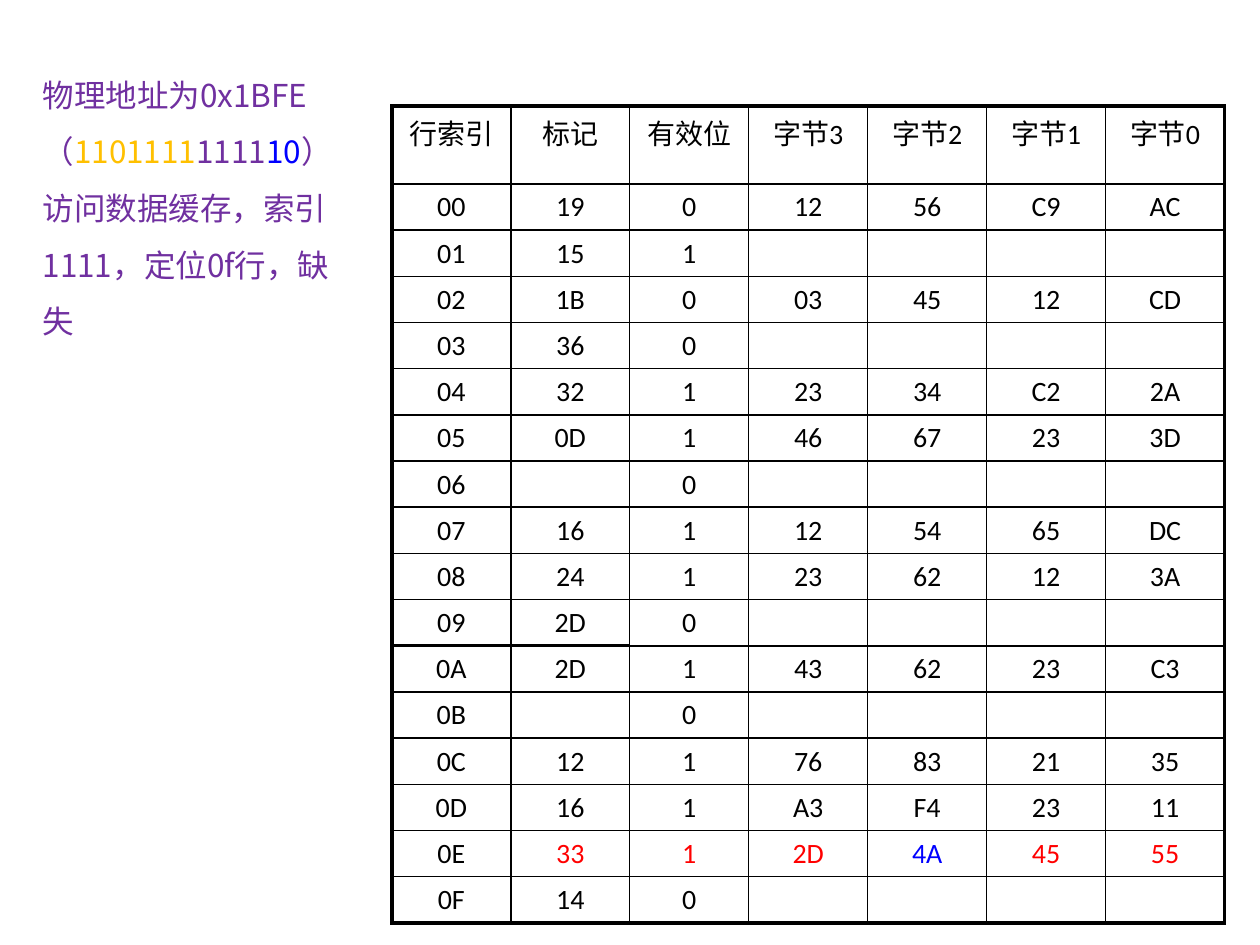
from lxml import etree
from pptx import Presentation
from pptx import util as u
from pptx.dml.color import RGBColor
from pptx.enum import text
from pptx.oxml import ns

BLACK, WHITE, RED, BLUE = "000000", "FFFFFF", "FF0000", "0000FF"
PURPLE, GOLD = "7030A0", "FFC000"
CJK = "Noto Sans CJK SC"

HEAD = ["行索引", "标记", "有效位", "字节3", "字节2", "字节1", "字节0"]
# tag, valid bit, bytes 3 to 0
LINES = [
    "19 0 12 56 C9 AC", "15 1", "1B 0 03 45 12 CD", "36 0",
    "32 1 23 34 C2 2A", "0D 1 46 67 23 3D", "- 0", "16 1 12 54 65 DC",
    "24 1 23 62 12 3A", "2D 0", "2D 1 43 62 23 C3", "- 0",
    "12 1 76 83 21 35", "16 1 A3 F4 23 11", "33 1 2D 4A 45 55", "14 0",
]
HIT = 15  # table row of line 0E
NOTE = [
    [("物理地址为0x1BFE（", PURPLE), ("1101111", GOLD), ("1111", PURPLE),
     ("10", BLUE), ("）", PURPLE)],
    [("访问数据缓存，索引1111，定位0f行，缺失", PURPLE)],
]


def rgb(code):
    return RGBColor.from_string(code)


def sub(node, tag, **attrs):
    return etree.SubElement(node, ns.qn(tag), attrs)


def put(item, **form):
    for name, value in form.items():
        setattr(item, name, value)


class Deck:
    def __init__(self):
        self.prs = Presentation()
        put(self.prs, slide_width=u.Inches(10), slide_height=u.Inches(7.5))
        self.slide = self.prs.slides.add_slide(self.prs.slide_layouts[6])

    def run(self, para, words, size, font, color):
        run = para.add_run()
        run.text = words
        put(run.font, size=u.Pt(size), name=font)
        run.font.color.rgb = rgb(color)
        sub(run.font._element, "a:ea", typeface=CJK)

    def note(self, box, paras):
        frame = self.slide.shapes.add_textbox(*map(u.Inches, box)).text_frame
        put(frame, word_wrap=True, auto_size=text.MSO_AUTO_SIZE.SHAPE_TO_FIT_TEXT)
        for i, parts in enumerate(paras):
            para = frame.add_paragraph() if i else frame.paragraphs[0]
            para.line_spacing = 1.5
            for words, color in parts:
                self.run(para, words, 18, CJK, color)

    def edge(self, cell, side, width):
        line = sub(cell._tc.get_or_add_tcPr(), "a:ln" + side, w=str(u.Pt(width)))
        sub(sub(line, "a:solidFill"), "a:srgbClr", val=BLACK)

    def cell(self, cell, words, color, thick):
        """Fill one cell; thick names the sides with a heavy border."""
        put(cell, margin_bottom=u.Inches(0.04))
        for side in "LRTB":
            self.edge(cell, side, 2.25 if side in thick else 1)
        cell.fill.solid()
        cell.fill.fore_color.rgb = rgb(WHITE)
        para = cell.text_frame.paragraphs[0]
        para.alignment = text.PP_ALIGN.CENTER
        gap = sub(para._p.get_or_add_pPr(), "a:spcBef")
        sub(gap, "a:spcPct", val="20000")
        if words:
            self.run(para, words, 16, "Calibri", color)
        else:
            sub(para._p, "a:endParaRPr", sz="1600")

    def table(self, box, rows, top, shade, heavy):
        """Draw rows under a header of height top; shade and heavy style a cell."""
        count, wide = len(rows), len(rows[0])
        frame = self.slide.shapes.add_table(count, wide, *map(u.Inches, box))
        table = frame.table
        put(table, first_row=False, horz_banding=False)
        for col in table.columns:
            col.width = u.Inches(box[2] / wide)
        for r, row in enumerate(rows):
            high = (box[3] - top) / (count - 1) if r else top
            table.rows[r].height = u.Inches(high)
            for c, words in enumerate(row):
                self.cell(table.cell(r, c), words, shade(r, c), heavy(r, c))


def shade(r, c):
    if r != HIT or c == 0:
        return BLACK
    return BLUE if c == 4 else RED


def heavy(r, c):
    """Outer frame, plus a short rule between lines 09 and 0A."""
    tests = {
        "L": c == 0,
        "R": c == len(HEAD) - 1,
        "T": r == 0 or (r == 11 and c < 2),
        "B": r == len(LINES) or (r == 10 and c < 2),
    }
    return [side for side, on in tests.items() if on]


def main():
    rows = [HEAD]
    for i, line in enumerate(LINES):
        row = [f"{i:02X}"] + [v.strip("-") for v in line.split()]
        rows.append(row + [""] * (len(HEAD) - len(row)))
    deck = Deck()
    deck.note((0.24, 0.4, 2.64, 2.32), NOTE)
    deck.table((3.11, 0.84, 6.61, 6.49), rows, 0.62, shade, heavy)
    deck.prs.save("out.pptx")


if __name__ == "__main__":
    main()
